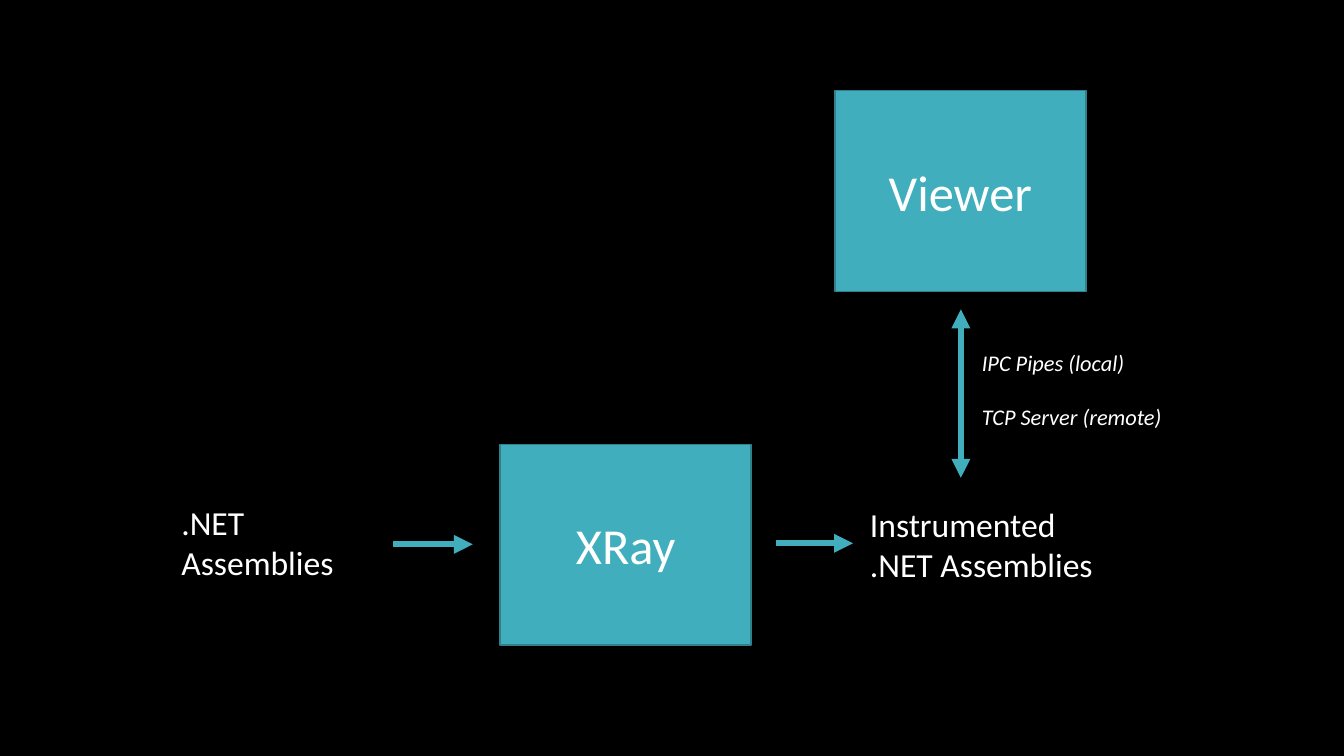
from lxml import etree
from pptx import Presentation
from pptx import util as u
from pptx.dml.color import RGBColor
from pptx.enum import shapes, text
from pptx.oxml import ns


def color(value):
    return RGBColor.from_string(value)


def write(frame, *lines, size, italic=False, align=text.PP_ALIGN.LEFT, gap=0):
    """Fill a text frame with one paragraph per line, gap points apart."""
    frame.word_wrap = True
    for index, line in enumerate(lines):
        para = frame.paragraphs[0] if index == 0 else frame.add_paragraph()
        para.alignment = align
        if index:
            para.space_before = u.Pt(gap)
        span = para.add_run()
        span.text = line
        span.font.name = Diagram.FONT
        span.font.size = u.Pt(size)
        span.font.italic = italic
        span.font.color.rgb = color(Diagram.INK)


class Diagram:
    FONT = "Calibri"
    INK = "FFFFFF"
    BACKGROUND = "000000"
    ACCENT = "41AEBD"
    BORDER = "30818C"
    BLOCK_SIZE = (2.49, 1.99)

    def __init__(self, page):
        self.page = page
        page.background.fill.solid()
        page.background.fill.fore_color.rgb = color(self.BACKGROUND)

    def block(self, name, left, top):
        box = self.page.shapes.add_shape(
            shapes.MSO_SHAPE.RECTANGLE, *map(u.Inches, (left, top, *self.BLOCK_SIZE)))
        box.shadow.inherit = False
        box.fill.solid()
        box.fill.fore_color.rgb = color(self.ACCENT)
        box.line.color.rgb = color(self.BORDER)
        box.line.width = u.Pt(1)
        box.text_frame.vertical_anchor = text.MSO_ANCHOR.MIDDLE
        write(box.text_frame, name, size=36, align=text.PP_ALIGN.CENTER)

    def label(self, *lines, left, top, width, size=24, **style):
        box = self.page.shapes.add_textbox(*map(u.Inches, (left, top, width, 0.91)))
        write(box.text_frame, *lines, size=size, **style)
        box.text_frame.auto_size = text.MSO_AUTO_SIZE.SHAPE_TO_FIT_TEXT

    def arrow(self, start, end, both_ways=False):
        arrow = self.page.shapes.add_connector(
            shapes.MSO_CONNECTOR.STRAIGHT, *map(u.Inches, (*start, *end)))
        arrow.line.color.rgb = color(self.ACCENT)
        arrow.line.width = u.Pt(4.5)
        properties = arrow.element.spPr
        outline = properties.find(ns.qn("a:ln"))
        for tip in ("a:headEnd", "a:tailEnd") if both_ways else ("a:tailEnd",):
            etree.SubElement(outline, ns.qn(tip), type="triangle")
        etree.SubElement(properties, ns.qn("a:effectLst"))


def main():
    deck = Presentation()
    deck.slide_width = u.Inches(13.33)
    deck.slide_height = u.Inches(7.5)
    diagram = Diagram(deck.slides.add_slide(deck.slide_layouts[6]))

    diagram.block("XRay", 4.96, 4.41)
    diagram.label(".NET Assemblies", left=1.7, top=4.93, width=1.95)
    diagram.arrow((3.9, 5.4), (4.69, 5.4))
    diagram.label("Instrumented", ".NET Assemblies", left=8.53, top=4.95, width=2.8)
    diagram.arrow((7.7, 5.39), (8.46, 5.39))

    diagram.block("Viewer", 8.28, 0.9)
    diagram.arrow((9.53, 4.74), (9.53, 3.07), both_ways=True)
    diagram.label("IPC Pipes (local)", "TCP Server (remote)",
                  left=9.64, top=3.41, width=2.43, size=16, italic=True, gap=19.5)

    deck.save("out.pptx")


if __name__ == "__main__":
    main()
